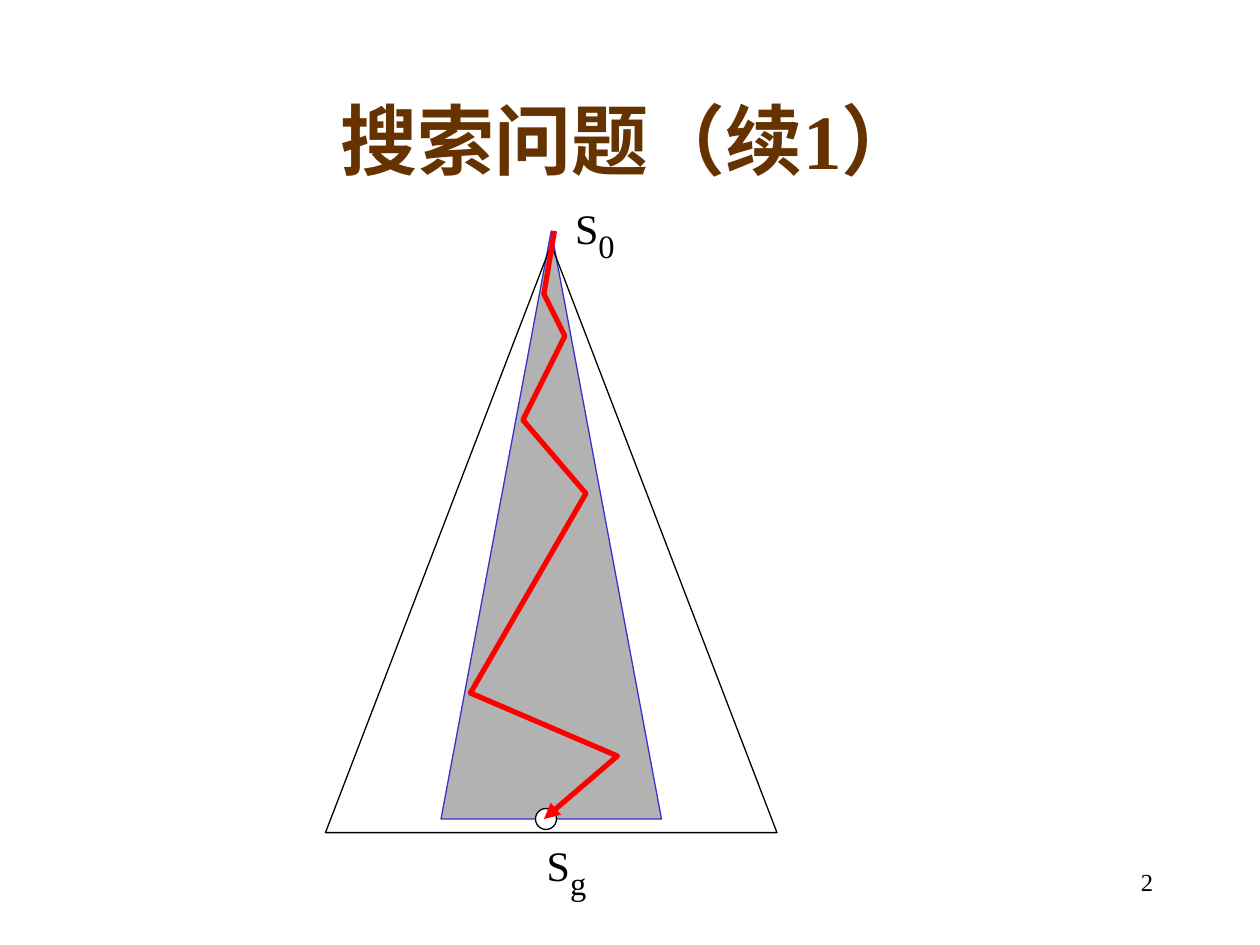
from lxml import etree
from pptx import Presentation, util as u
from pptx.dml.color import RGBColor
from pptx.enum import shapes, text
from pptx.oxml.ns import qn

EMU_PER_PX = 7620
FONT = "Times New Roman"
BLACK, WHITE, RED = "000000", "FFFFFF", "FF0000"

TITLE = ("搜索问题（续1）", (90, 67, 1020, 130))
PAGE_NUMBER = ("2", (860, 820, 250, 60))
STATE_LABELS = [("S", "0", (536, 173, 61, 85)), ("S", "g", (509, 780, 61, 85))]
SEARCHED_SPACE = (420, 220, 210, 560)
WHOLE_SPACE = (310, 233, 430, 560)
GOAL = (510, 770, 20, 20)
SOLUTION_PATH = [(528, 220), (518, 280), (538, 320), (498, 400),
                 (558, 470), (448, 660), (588, 720), (518, 780)]


def px(*lengths):
    return [u.Emu(length * EMU_PER_PX) for length in lengths]


def color(hex_code):
    return RGBColor.from_string(hex_code)


def style(shape, fill, line, width=0.75):
    shape.shadow.inherit = False
    if fill:
        shape.fill.solid()
        shape.fill.fore_color.rgb = color(fill)
    else:
        shape.fill.background()
    shape.line.color.rgb = color(line)
    shape.line.width = u.Pt(width)


def add_preset(kind, box, fill, line):
    style(slide.shapes.add_shape(kind, *px(*box)), fill, line)


def write(frame, content, size, hex_code=BLACK, bold=False, baseline=None,
          align=text.PP_ALIGN.CENTER):
    paragraph = frame.paragraphs[0]
    paragraph.alignment = align
    run = paragraph.add_run()
    run.text = content
    run.font.name = FONT
    run.font.size = u.Pt(size)
    run.font.bold = bold
    run.font.color.rgb = color(hex_code)
    if baseline:
        run.font._element.set("baseline", str(baseline * 1000))


def add_frame(box, wrap=True, anchor=text.MSO_ANCHOR.TOP):
    frame = slide.shapes.add_textbox(*px(*box)).text_frame
    frame.word_wrap = wrap
    frame.vertical_anchor = anchor
    return frame


deck = Presentation()
deck.slide_width, deck.slide_height = px(1200, 900)
slide = deck.slides.add_slide(deck.slide_layouts[5])

heading, heading_box = TITLE
title = slide.shapes.title
title.left, title.top, title.width, title.height = px(*heading_box)
title.text_frame.vertical_anchor = text.MSO_ANCHOR.MIDDLE
write(title.text_frame, heading, 44, "663300", bold=True)

number, number_box = PAGE_NUMBER
write(add_frame(number_box), number, 14, align=text.PP_ALIGN.RIGHT)

triangle = shapes.MSO_SHAPE.ISOSCELES_TRIANGLE
add_preset(triangle, SEARCHED_SPACE, "B2B2B2", "3333CC")
add_preset(triangle, WHOLE_SPACE, None, BLACK)
add_preset(shapes.MSO_SHAPE.OVAL, GOAL, WHITE, BLACK)

for state, subscript, label_box in STATE_LABELS:
    label = add_frame(label_box, wrap=False, anchor=text.MSO_ANCHOR.MIDDLE)
    label.auto_size = text.MSO_AUTO_SIZE.NONE
    label.margin_left = label.margin_right = 0
    write(label, state, 24)
    write(label, subscript, 32, baseline=-25)

start, *turns = SOLUTION_PATH
builder = slide.shapes.build_freeform(*start, scale=EMU_PER_PX)
builder.add_line_segments(turns, close=False)
solution = builder.convert_to_shape()
style(solution, None, RED, 3)
etree.SubElement(solution.line._get_or_add_ln(), qn("a:tailEnd"), type="triangle")

deck.save("out.pptx")
